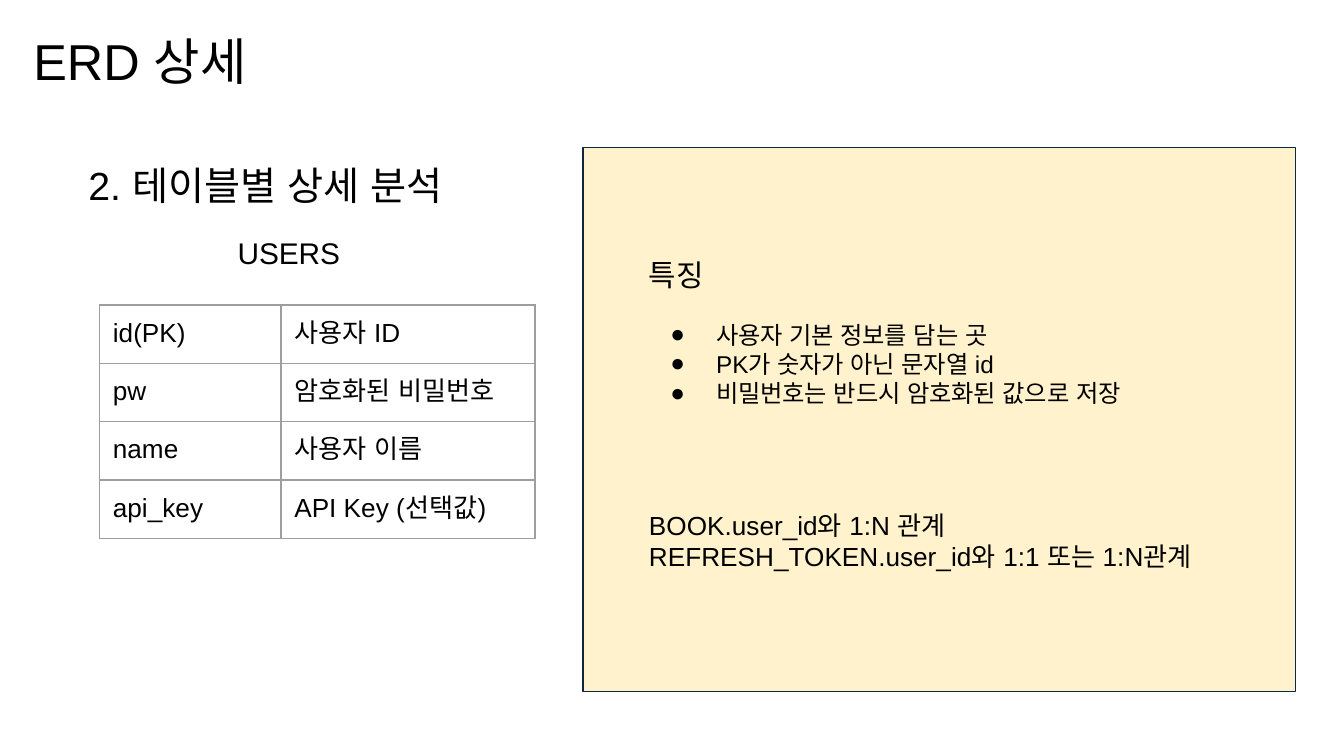
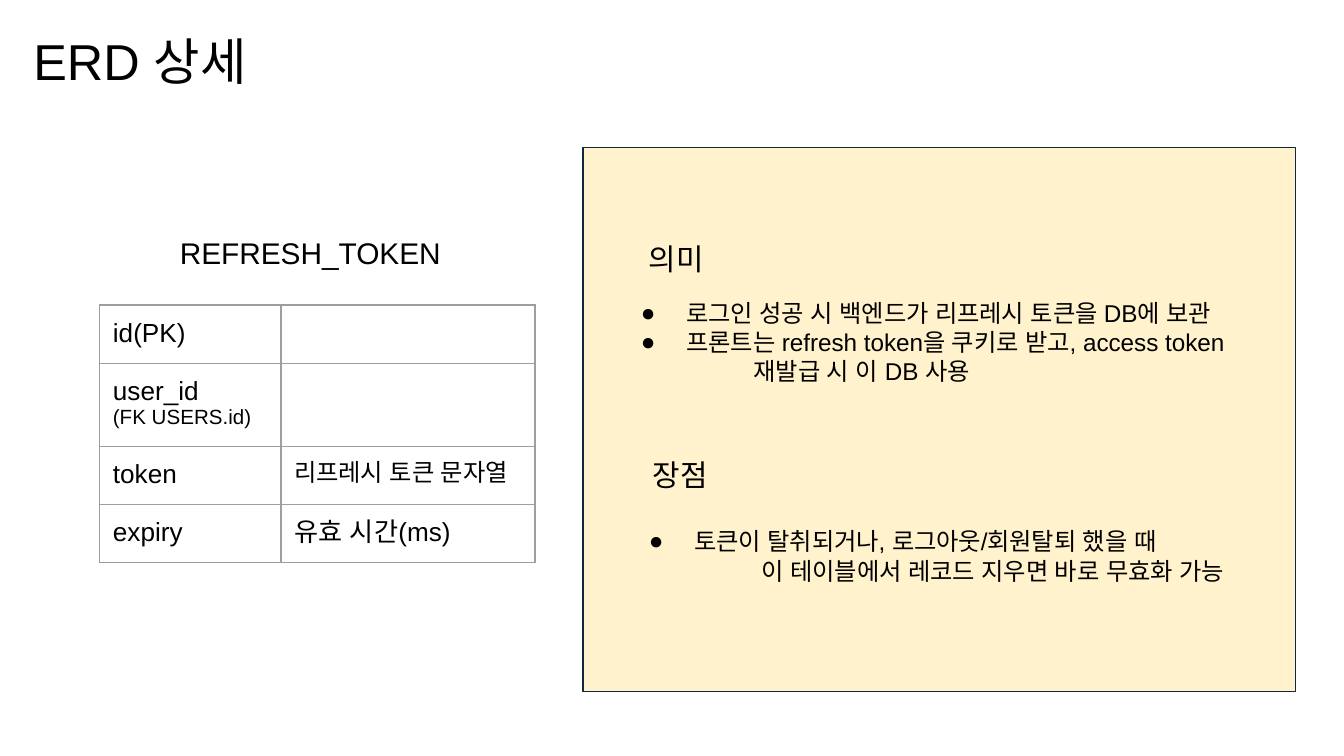
from lxml import etree
from pptx import Presentation
from pptx.dml.color import RGBColor
from pptx.enum.shapes import MSO_SHAPE as Shape
from pptx.enum.text import MSO_ANCHOR as Anchor, MSO_AUTO_SIZE as AutoSize
from pptx.oxml.ns import qn
from pptx.util import Pt

FONT = "Arial"
BLACK, CREAM, NAVY, GREY = "000000", "FFF2CC", "0E2841", "9E9E9E"
INSET = 7.2
BULLET_LEFT, BULLET_HANG = 36, -24.5
TABLE_LEFT, TABLE_TOP = 53.3, 163.4
COLUMN_WIDTHS = (97.2, 136.1)
ROW_HEIGHT = 31.2
NOTE_LEFT = 340.6


def color(value):
    return RGBColor.from_string(value)


class SlideWriter:
    """Holds the deck, its style and the slide being built."""

    def __init__(self, deck):
        self.deck = deck
        self.slide = None

    def new_slide(self, title):
        self.slide = self.deck.slides.add_slide(self.deck.slide_layouts[6])
        self.panel()
        frame = self.text(title, 10.8, 12.2, 620.6, 44.6, 27)
        frame.auto_size = AutoSize.NONE
        frame.vertical_anchor = Anchor.MIDDLE
        frame.margin_top = frame.margin_bottom = Pt(3.6)
        frame.paragraphs[0].line_spacing = 0.9

    def panel(self):
        box = self.slide.shapes.add_shape(
            Shape.RECTANGLE, Pt(312.4), Pt(79.2), Pt(381.6), Pt(291.4))
        box.shadow.inherit = False
        box.fill.solid()
        box.fill.fore_color.rgb = color(CREAM)
        box.line.color.rgb = color(NAVY)
        box.line.width = Pt(0.75)

    def style(self, para, size):
        for span in para.runs:
            span.font.size = Pt(size)
            span.font.color.rgb = color(BLACK)
            span.font.name = FONT
            # Korean text takes the same font
            etree.SubElement(span.font._element, qn("a:ea"), typeface=FONT)

    def text(self, words, left, top, width, height, size, indent=0):
        box = self.slide.shapes.add_textbox(Pt(left), Pt(top), Pt(width), Pt(height))
        frame = box.text_frame
        frame.word_wrap = True
        frame.auto_size = AutoSize.SHAPE_TO_FIT_TEXT
        frame.margin_left = frame.margin_right = Pt(INSET)
        frame.margin_top = frame.margin_bottom = Pt(INSET)
        frame.text = words
        for para in frame.paragraphs:
            if indent:
                self.indent(para, indent)
            self.style(para, size)
        return frame

    def indent(self, para, left, first=0):
        props = para._p.get_or_add_pPr()
        props.set("marL", str(Pt(left)))
        props.set("indent", str(Pt(first)))
        return props

    def heading(self, words, left, top):
        self.text(words, left, top, 213.8, 33.8, 16)

    def table_name(self, words, left):
        self.text(words, left, 118.8, 565.2, 33.8, 16, indent=36)

    def bullets(self, items, left, top, height, continuation=None):
        """Bulleted lines, then an optional unbulleted, deeper line."""
        lines = items + ([continuation] if continuation else [])
        frame = self.text("\n".join(lines), left, top, 372.2, height, 13)
        for para in frame.paragraphs[:len(items)]:
            props = self.indent(para, BULLET_LEFT, BULLET_HANG)
            tint = etree.SubElement(props, qn("a:buClr"))
            etree.SubElement(tint, qn("a:srgbClr"), val=BLACK)
            etree.SubElement(props, qn("a:buFont"), typeface=FONT)
            etree.SubElement(props, qn("a:buChar"), char="●")
        if continuation:
            self.indent(frame.paragraphs[-1], 72)

    def table(self, rows, heights):
        """Each cell is a list of (words, size) paragraphs."""
        frame = self.slide.shapes.add_table(
            len(rows), len(COLUMN_WIDTHS), Pt(TABLE_LEFT), Pt(TABLE_TOP),
            Pt(sum(COLUMN_WIDTHS)), Pt(sum(heights)))
        table = frame.table
        table.first_row = table.horz_banding = False
        for column, width in zip(table.columns, COLUMN_WIDTHS):
            column.width = Pt(width)
        for row, height, contents in zip(table.rows, heights, rows):
            row.height = Pt(height)
            for cell, lines in zip(row.cells, contents):
                self.fill_cell(cell, lines)

    def fill_cell(self, cell, lines):
        cell.fill.background()
        self.borders(cell)
        if not lines:
            return
        cell.margin_left = cell.margin_right = Pt(INSET)
        cell.margin_top = cell.margin_bottom = Pt(INSET)
        cell.text_frame.text = "\n".join(words for words, _ in lines)
        for para, (_, size) in zip(cell.text_frame.paragraphs, lines):
            self.style(para, size)

    def borders(self, cell):
        props = cell._tc.get_or_add_tcPr()
        for place, side in enumerate(("lnL", "lnR", "lnT", "lnB")):
            line = etree.Element(qn("a:" + side), w=str(Pt(0.75)))
            fill = etree.SubElement(line, qn("a:solidFill"))
            etree.SubElement(fill, qn("a:srgbClr"), val=GREY)
            props.insert(place, line)


def users_slide(writer):
    writer.new_slide("ERD 상세")

    # Table on the left
    writer.text("2. 테이블별 상세 분석", 40.3, 79.2, 213.8, 40.3, 21)
    writer.table_name("USERS", 84.2)
    fields = [
        ("id(PK)", "사용자 ID"),
        ("pw", "암호화된 비밀번호"),
        ("name", "사용자 이름"),
        ("api_key", "API Key (선택값)"),
    ]
    rows = [[[(words, 14)] for words in field] for field in fields]
    writer.table(rows, [ROW_HEIGHT] * len(rows))

    # Notes on the panel
    writer.heading("특징", NOTE_LEFT, 130.3)
    writer.bullets(["사용자 기본 정보를 담는 곳",
                    "PK가 숫자가 아닌 문자열 id",
                    "비밀번호는 반드시 암호화된 값으로 저장"],
                   NOTE_LEFT, 164.2, 61.9)
    writer.text("BOOK.user_id와 1:N 관계\nREFRESH_TOKEN.user_id와 1:1 또는 1:N관계",
                NOTE_LEFT, 265.7, 347.8, 48.2, 14)


def refresh_token_slide(writer):
    writer.new_slide("ERD 상세")

    # Table on the left
    writer.table_name("REFRESH_TOKEN", TABLE_LEFT)
    rows = [
        [[("id(PK)", 14)], []],
        [[("user_id", 14), ("(FK USERS.id)", 11)], []],
        [[("token", 14)], [("리프레시 토큰 문자열", 13)]],
        [[("expiry", 14)], [("유효 시간(ms)", 14)]],
    ]
    writer.table(rows, [ROW_HEIGHT, 44.4, ROW_HEIGHT, ROW_HEIGHT])

    # Notes on the panel
    writer.heading("의미", NOTE_LEFT, 121.7)
    writer.bullets(["로그인 성공 시 백엔드가 리프레시 토큰을 DB에 보관",
                    "프론트는 refresh token을 쿠키로 받고, access token"],
                   324.7, 152.6, 61.9, "재발급 시 이 DB 사용")
    writer.heading("장점", 342.7, 237.6)
    writer.bullets(["토큰이 탈취되거나, 로그아웃/회원탈퇴 했을 때"],
                   329, 275, 46.1, "이 테이블에서 레코드 지우면 바로 무효화 가능")


def main():
    deck = Presentation()
    deck.slide_width, deck.slide_height = Pt(720), Pt(405)
    writer = SlideWriter(deck)
    users_slide(writer)
    refresh_token_slide(writer)
    deck.save("out.pptx")


if __name__ == "__main__":
    main()
